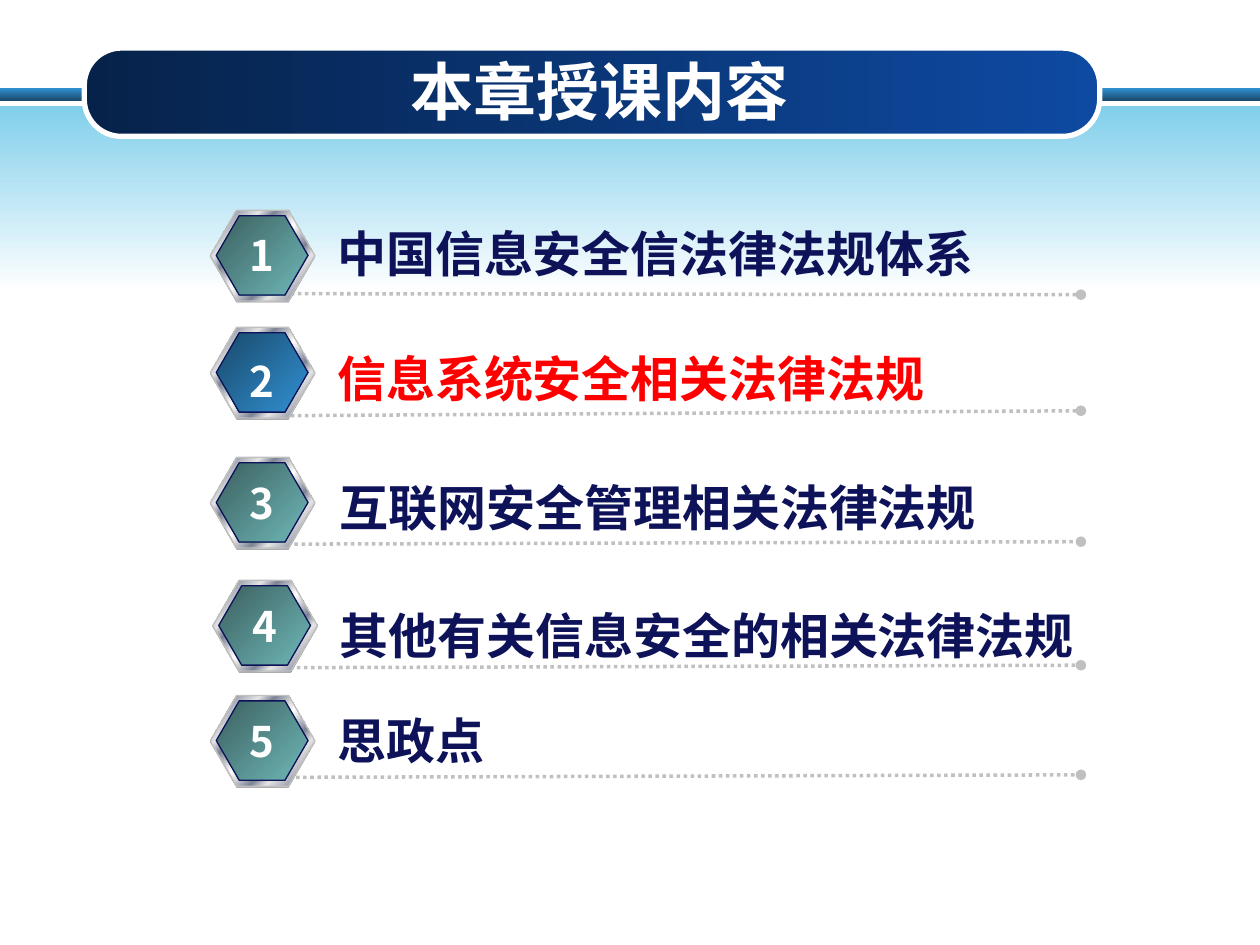
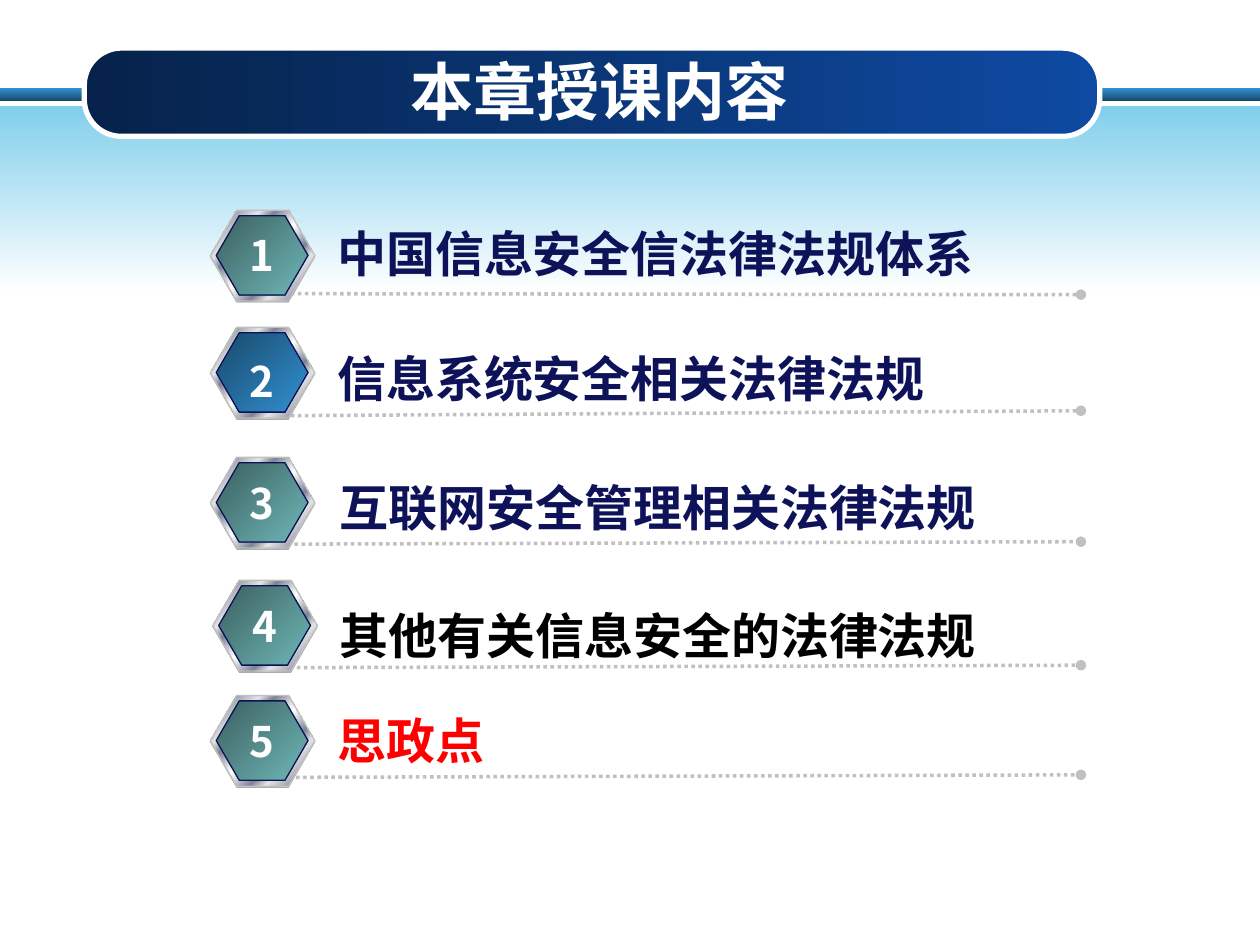
import collections

import lxml.etree
import pptx
import pptx.dml.color
import pptx.enum.dml
import pptx.enum.shapes
import pptx.enum.text
import pptx.oxml
import pptx.oxml.ns
import pptx.util

Cm = pptx.util.Cm
RGBColor = pptx.dml.color.RGBColor
Shape = pptx.enum.shapes.MSO_SHAPE
Align = pptx.enum.text.PP_ALIGN
qn = pptx.oxml.ns.qn

WHITE = RGBColor(0xFF, 0xFF, 0xFF)
BLACK = RGBColor(0x00, 0x00, 0x00)
RED = RGBColor(0xFF, 0x00, 0x00)
NAVY = RGBColor(0x0D, 0x12, 0x59)
SILVER = RGBColor(0xC0, 0xC0, 0xC0)
GRAY = RGBColor(0x80, 0x80, 0x80)
LIGHT_STEEL = RGBColor(0xE6, 0xE6, 0xE6)
DARK_STEEL = RGBColor(0x7D, 0x84, 0x96)
BRIGHT_BLUE = RGBColor(0x31, 0x91, 0xD3)
DEEP_BLUE = RGBColor(0x19, 0x49, 0x6A)
SKY = RGBColor(0x81, 0xCF, 0xEB)
PILL_DARK = RGBColor(0x06, 0x22, 0x4A)
PILL_BLUE = RGBColor(0x0E, 0x4A, 0xA2)
TEAL_DARK = RGBColor(0x3C, 0x60, 0x60)
TEAL = RGBColor(0x6F, 0xB7, 0xB7)

TEAL_FACE = [(0, TEAL_DARK), (100, TEAL)]
BLUE_FACE = [(0, DEEP_BLUE), (100, BRIGHT_BLUE)]
STEEL = [(position, LIGHT_STEEL) for position in (0, 26, 46, 54, 74, 100)]
STEEL += [(position, DARK_STEEL) for position in (8, 34, 66, 92)]
STEEL = sorted(STEEL + [(50, WHITE)], key=lambda stop: stop[0])

LATIN_FONT = "Arial"
CHINESE_FONT = "Noto Sans CJK SC"
TITLE = "本章授课内容"
RULE_END = 21.79

Row = collections.namedtuple(
    "Row", "badge_left badge_top face number_top label_left label_top label_width rule_left rule_top rule_end_top")
ROWS = [
    Row(4.24, 4.24, TEAL_FACE, 4.5, 6.55, 4.39, 15.67, 5.72, 5.92, 5.94),
    Row(4.24, 6.6, BLUE_FACE, 7.04, 6.55, 6.91, 15.67, 5.72, 8.38, 8.28),
    Row(4.24, 9.22, TEAL_FACE, None, 6.6, 9.5, 13.77, 5.51, 10.97, 10.92),
    Row(4.29, 11.7, TEAL_FACE, None, 6.6, 12.09, 15.93, 5.56, 13.46, 13.41),
    Row(4.24, 14.02, TEAL_FACE, None, 6.55, 14.2, 13.77, 5.97, 15.67, 15.62),
]
AGENDAS = [
    [("中国信息安全信法律法规体系", NAVY), ("信息系统安全相关法律法规", RED),
     ("互联网安全管理相关法律法规", NAVY), ("其他有关信息安全的相关法律法规", NAVY),
     ("思政点", NAVY)],
    [("中国信息安全信法律法规体系", NAVY), ("信息系统安全相关法律法规", NAVY),
     ("互联网安全管理相关法律法规", NAVY), ("其他有关信息安全的法律法规", BLACK),
     ("思政点", RED)],
]


def write_text(text_frame, text, size=28, color=WHITE, font=CHINESE_FONT,
               align=Align.LEFT, anchor=pptx.enum.text.MSO_ANCHOR.TOP, wrap=True):
    """Put one formatted bold paragraph into a text frame."""
    text_frame.word_wrap = wrap
    text_frame.auto_size = pptx.enum.text.MSO_AUTO_SIZE.NONE
    text_frame.vertical_anchor = anchor
    paragraph = text_frame.paragraphs[0]
    paragraph.alignment = align
    run = paragraph.add_run()
    run.text = text
    run.font.size = pptx.util.Pt(size)
    run.font.bold = True
    run.font.color.rgb = color
    run.font.name = font
    east_asian = lxml.etree.SubElement(run.font._element, qn("a:ea"))
    east_asian.set("typeface", CHINESE_FONT)


def fill_gradient(shape, stops, angle):
    """Fill a shape with a linear gradient turning clockwise by the angle."""
    shape.fill.gradient()
    shape.fill.gradient_angle = -angle % 360
    stop_list = shape.element.spPr.find(".//" + qn("a:gsLst"))
    for old_stop in list(stop_list):
        stop_list.remove(old_stop)
    for position, color in stops:
        stop = lxml.etree.SubElement(stop_list, qn("a:gs"), pos=str(position * 1000))
        lxml.etree.SubElement(stop, qn("a:srgbClr"), val=str(color))


class AgendaDeck:
    """Hold the deck style and the current slide."""

    def __init__(self):
        """Start the deck and prepare its shared layout."""
        self.presentation = pptx.Presentation()
        self.presentation.slide_width = Cm(25.4)
        self.presentation.slide_height = Cm(19.05)
        self.layout = self.presentation.slide_layouts[5]
        self.slide = None

    def add_slide(self):
        """Add a titled slide, decorating the layout the first time."""
        self.slide = self.presentation.slides.add_slide(self.layout)
        if len(self.presentation.slides) == 1:
            self.decorate_layout()
        title = self.slide.shapes.title
        title.left, title.top, title.width, title.height = Cm(2.34), Cm(1.04), Cm(19.48), Cm(1.57)
        write_text(title.text_frame, TITLE, size=36, font=LATIN_FONT, align=Align.CENTER,
                   anchor=pptx.enum.text.MSO_ANCHOR.MIDDLE)

    def decorate_layout(self):
        """Move the band, glow and title pill behind the layout placeholders."""
        band = self.add_shape(Shape.RECTANGLE, 0, 1.78, 25.4, 0.25, [(0, BRIGHT_BLUE), (100, DEEP_BLUE)], angle=90)
        glow = self.add_shape(Shape.RECTANGLE, 0, 2.13, 25.4, 3.78, [(0, SKY), (100, WHITE)], angle=90)
        pill = self.add_shape(Shape.ROUNDED_RECTANGLE, 1.7, 0.97, 20.47, 1.78, [(0, PILL_DARK), (100, PILL_BLUE)],
                              angle=0, line=WHITE, line_width=3, adjustment=0.42)
        for index, shape in enumerate((band, glow, pill), start=2):
            self.layout.element.cSld.spTree.insert(index, shape.element)

    def add_shape(self, kind, left, top, width, height, fill,
                  angle=45, line=None, line_width=0.75, adjustment=None):
        """Add a preset shape with a plain or gradient fill."""
        shape = self.slide.shapes.add_shape(kind, Cm(left), Cm(top), Cm(width), Cm(height))
        shape.shadow.inherit = False
        if adjustment is not None:
            shape.adjustments[0] = adjustment
        if isinstance(fill, RGBColor):
            shape.fill.solid()
            shape.fill.fore_color.rgb = fill
        else:
            fill_gradient(shape, fill, angle)
        if line is None:
            shape.line.fill.background()
        else:
            shape.line.color.rgb = line
            shape.line.width = pptx.util.Pt(line_width)
        return shape

    def add_text(self, left, top, width, height, text, **text_format):
        """Add a text box."""
        box = self.slide.shapes.add_textbox(Cm(left), Cm(top), Cm(width), Cm(height))
        write_text(box.text_frame, text, **text_format)

    def add_rule(self, row):
        """Add the dotted rule that ends in a dot."""
        rule = self.slide.shapes.add_connector(
            pptx.enum.shapes.MSO_CONNECTOR.STRAIGHT,
            Cm(row.rule_left), Cm(row.rule_top), Cm(RULE_END), Cm(row.rule_end_top))
        rule.line.color.rgb = SILVER
        rule.line.width = pptx.util.Pt(2)
        rule.line.dash_style = pptx.enum.dml.MSO_LINE.ROUND_DOT
        lxml.etree.SubElement(rule.line._get_or_add_ln(), qn("a:tailEnd"), type="oval")
        lxml.etree.SubElement(rule.element.spPr, qn("a:effectLst"))

    def add_badge(self, row, number):
        """Add a steel-rimmed hexagon with its number."""
        left, top = row.badge_left, row.badge_top
        self.add_shape(Shape.HEXAGON, left, top + 0.03, 2.11, 1.83, GRAY, adjustment=0.29)
        self.add_shape(Shape.HEXAGON, left, top, 2.11, 1.83, STEEL, line=SILVER, adjustment=0.29)
        face = self.add_shape(Shape.HEXAGON, left + 0.12, top + 0.11, 1.85, 1.6, row.face,
                              line=NAVY, adjustment=0.29)
        number_format = {"size": 24, "align": Align.CENTER, "wrap": False}
        if row.number_top is None:
            write_text(face.text_frame, number, anchor=pptx.enum.text.MSO_ANCHOR.MIDDLE, **number_format)
        else:
            self.add_text(4.83, row.number_top, 0.91, 1.3, number, **number_format)

    def add_agenda(self, items):
        """Add one rule, badge and label for each item."""
        for number, (row, (text, color)) in enumerate(zip(ROWS, items), start=1):
            self.add_rule(row)
            self.add_badge(row, str(number))
            self.add_text(row.label_left, row.label_top, row.label_width, 1.45, text, color=color)


def main():
    """Build both agenda slides and save the deck."""
    deck = AgendaDeck()
    for items in AGENDAS:
        deck.add_slide()
        deck.add_agenda(items)
    deck.presentation.save("out.pptx")


if __name__ == "__main__":
    main()
